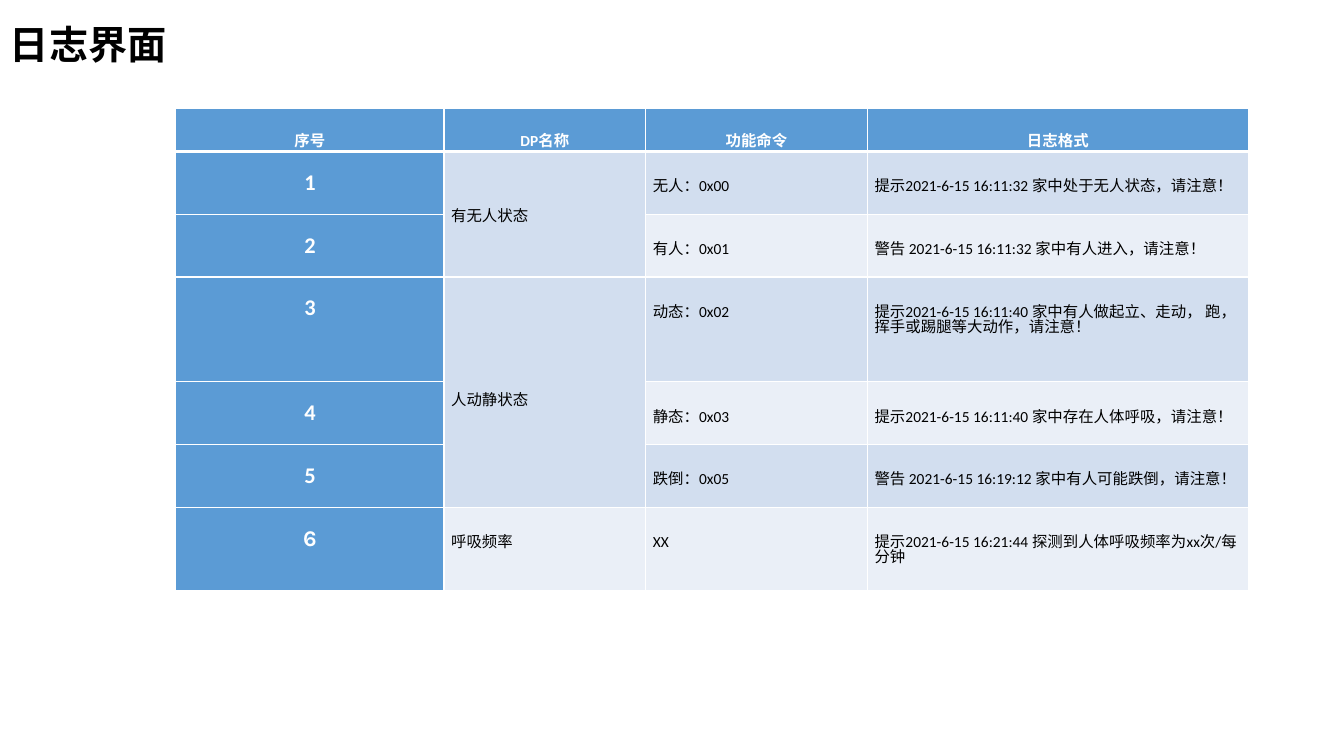
from pptx import Presentation
from pptx.dml.color import RGBColor
from pptx.enum.text import MSO_AUTO_SIZE, PP_ALIGN
from pptx.oxml import parse_xml
from pptx.oxml.ns import nsdecls
from pptx.util import Cm, Pt


def rgb(value):
    return RGBColor.from_string(value)


def add_run(p, text, size, color, bold, font="Calibri"):
    r = p.add_run()
    r.text = text
    r.font.size = Pt(size)
    r.font.name = font
    r.font.bold = bold
    r.font.color.rgb = rgb(color)


WHITE, BLACK, BLUE = "FFFFFF", "000000", "5B9BD5"
BANDS = ["EAEFF7", "D2DEEF"]
COL_WIDTHS = [6.76, 5.08, 5.59, 9.6]
ROW_HEIGHTS = [1.1, 1.58, 1.58, 2.64, 1.58, 1.58, 2.1]
LINE_STEP = 0.74
LOG_ROWS = [
    ["序号", "DP名称", "功能命令", "日志格式"],
    ["1", "有无人状态", "无人：0x00", "提示2021-6-15 16:11:32 家中处于无人状态，请注意！"],
    ["2", "", "有人：0x01", "警告 2021-6-15 16:11:32 家中有人进入，请注意！"],
    ["3", "人动静状态", "动态：0x02",
     "提示2021-6-15 16:11:40 家中有人做起立、走动， 跑，挥手或踢腿等大动作，请注意！"],
    ["4", "", "静态：0x03", "提示2021-6-15 16:11:40 家中存在人体呼吸，请注意！"],
    ["5", "", "跌倒：0x05", "警告 2021-6-15 16:19:12 家中有人可能跌倒，请注意！"],
    ["6", "呼吸频率", "XX", "提示2021-6-15 16:21:44 探测到人体呼吸频率为xx次/每分钟"],
]
LINES_ABOVE = {(1, 1): 2, (3, 1): 4}

prs = Presentation()
prs.slide_width, prs.slide_height = Cm(33.87), Cm(19.05)
s = prs.slides.add_slide(prs.slide_layouts[6])

tf = s.shapes.add_textbox(Cm(0), Cm(0.38), Cm(14.6), Cm(1.45)).text_frame
tf.word_wrap = True
tf.auto_size = MSO_AUTO_SIZE.SHAPE_TO_FIT_TEXT
p = tf.paragraphs[0]
p.alignment = PP_ALIGN.JUSTIFY
add_run(p, "日志界面", 28, BLACK, True)

table = s.shapes.add_table(
    len(ROW_HEIGHTS), len(COL_WIDTHS), Cm(4.43), Cm(2.72),
    Cm(sum(COL_WIDTHS)), Cm(sum(ROW_HEIGHTS))).table
for col, width in zip(table.columns, COL_WIDTHS):
    col.width = Cm(width)
for row, height in zip(table.rows, ROW_HEIGHTS):
    row.height = Cm(height)
table.cell(1, 1).merge(table.cell(2, 1))
table.cell(3, 1).merge(table.cell(5, 1))

for i, texts in enumerate(LOG_ROWS):
    for j, text in enumerate(texts):
        cell = table.cell(i, j)
        header, number = i == 0, i > 0 and j == 0
        accent = header or number
        tc_pr = cell._tc.get_or_add_tcPr()
        for side in "LRTB":
            thick = (i, side) in [(0, "B"), (1, "T")]
            tc_pr.append(parse_xml(
                f'<a:ln{side} {nsdecls("a")} w="{Pt(3 if thick else 1)}">'
                f'<a:solidFill><a:srgbClr val="{WHITE}"/></a:solidFill></a:ln{side}>'))
        band = 1 if cell.is_spanned else i % 2
        cell.fill.solid()
        cell.fill.fore_color.rgb = rgb(BLUE if accent else BANDS[band])
        cell.margin_left = cell.margin_right = Cm(0.18)
        cell.margin_bottom = Cm(0)
        cell.margin_top = Cm(0.7 if header else LINE_STEP * LINES_ABOVE.get((i, j), 1))
        if cell.is_spanned:
            continue
        p = cell.text_frame.paragraphs[0]
        p.line_spacing = Pt(11)
        p.alignment = PP_ALIGN.CENTER if accent else PP_ALIGN.LEFT
        add_run(p, text, 16 if number else 11, WHITE if accent else BLACK, accent,
                "Karla" if text == "6" else "Calibri")

prs.save("out.pptx")
